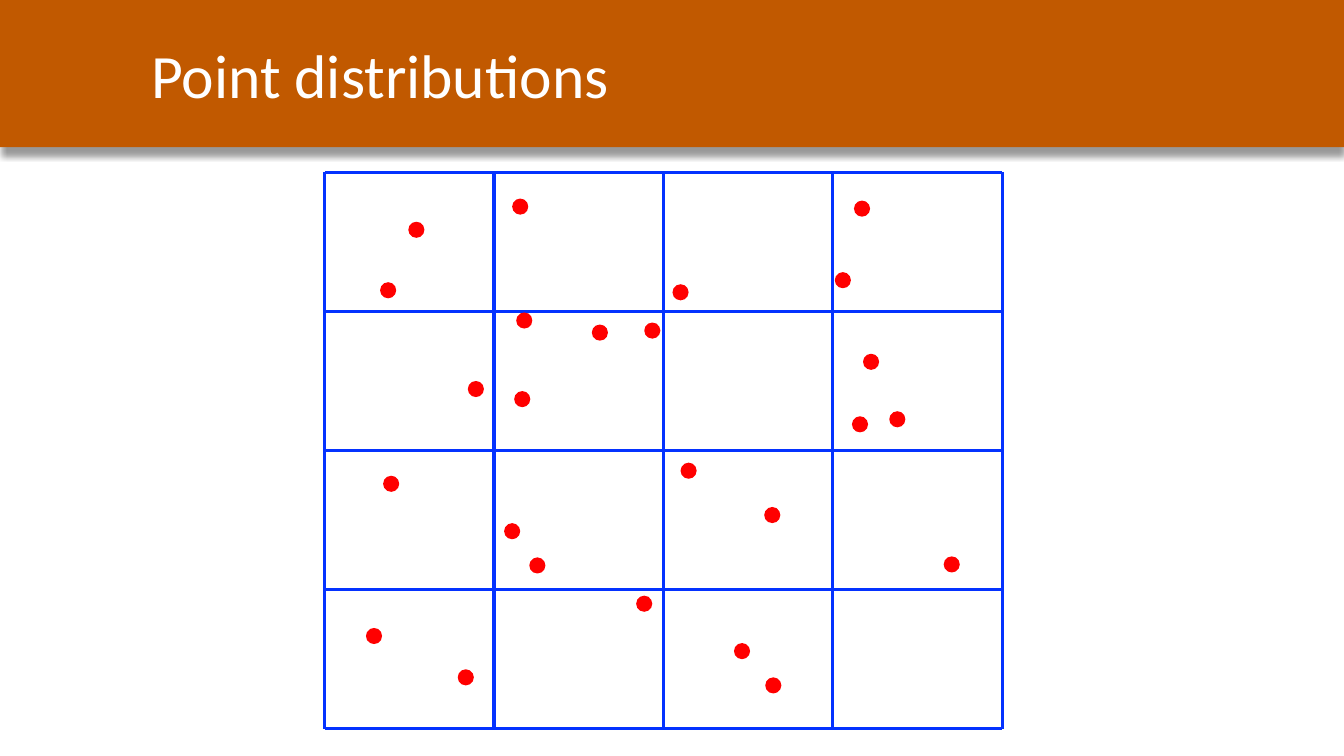
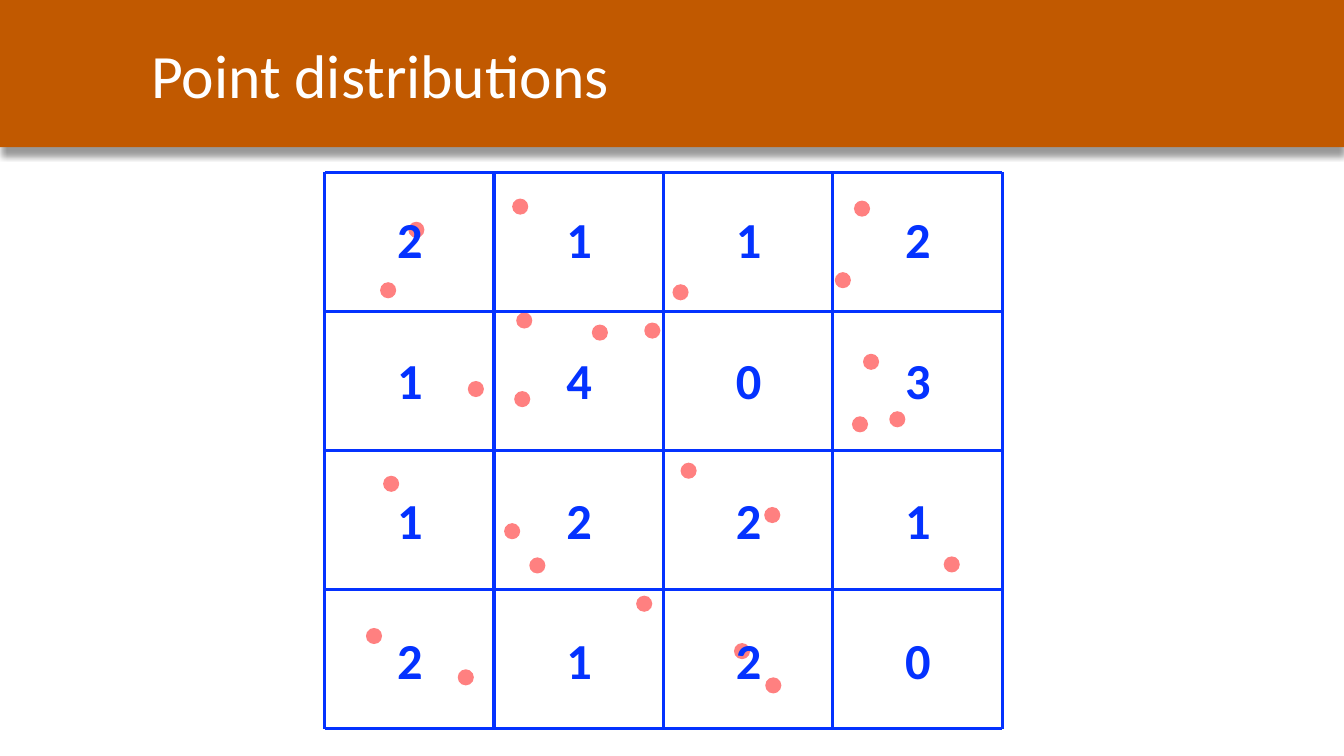
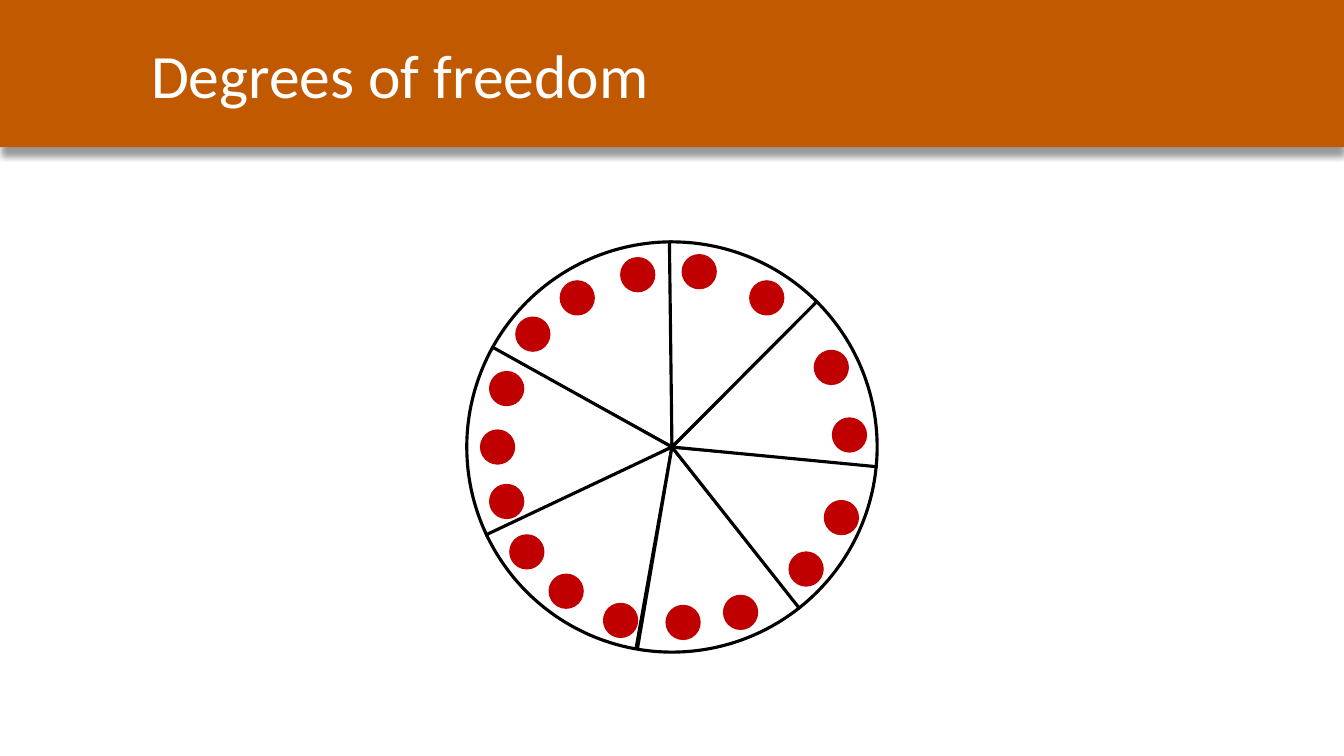
from pptx import Presentation
from pptx import util as u
from pptx.dml.color import RGBColor
from pptx.enum import shapes, text
from pptx.oxml import parse_xml
from pptx.oxml.ns import nsdecls, qn
from lxml import etree

POINTS = [
    (4.05, 2.2), (8.56, 3.51), (7.28, 6.38), (5.08, 1.97), (6.67, 2.82),
    (3.77, 2.8), (5.12, 3.1), (5.87, 3.22), (6.39, 3.2), (3.8, 4.72),
    (4.64, 3.78), (6.75, 4.59), (8.45, 4.13), (8.28, 2.7), (8.47, 1.99),
    (4.54, 6.64), (5.1, 3.88), (7.58, 5.03), (8.82, 4.08), (9.36, 5.52),
    (3.63, 6.23), (5.25, 5.53), (6.31, 5.91), (5, 5.19), (7.59, 6.72),
]
COUNTS = ["2112", "1403", "1221", "2120"]
SLICES = [
    (208.9, 270, [(6.15, 2.55), (5.55, 2.78), (5.11, 3.14)]),
    (153.7, 209.1, [(4.85, 3.68), (4.76, 4.26), (4.85, 4.8)]),
    (100.1, 154.7, [(5.05, 5.3), (5.44, 5.69), (5.98, 5.98)]),
    (51.6, 99.7, [(6.6, 6), (7.17, 5.9)]),
    (5.1, 51.7, [(7.82, 5.47), (8.17, 4.96)]),
    (314.8, 5.5, [(8.25, 4.14), (8.07, 3.47)]),
    (269.3, 314.9, [(6.76, 2.52), (7.43, 2.78)]),
]


def rgb(value):
    return RGBColor.from_string(value)


class Deck:
    BAND, WHITE, BLACK = "C15900", "FFFFFF", "000000"
    GRID, POINT, BEAD = "0432FF", "FF0000", "C00000"
    FONT, LINE = "Calibri", u.Pt(2.25)
    WIDTH, HEIGHT = 13.33, 7.5
    LEFT, TOP, CELL_W, CELL_H, CELLS = 3.22, 1.71, 1.68, 1.38, 4

    def __init__(self):
        self.prs = Presentation()
        self.prs.slide_width = u.Inches(self.WIDTH)
        self.prs.slide_height = u.Inches(self.HEIGHT)

    def slide(self):
        self.s = self.prs.slides.add_slide(self.prs.slide_layouts[6])
        self.ungroup()

    def group(self):
        self.into = self.s.shapes.add_group_shape().shapes

    def ungroup(self):
        self.into = self.s.shapes

    def shape(self, kind, x, y, w, h, fill, line=None):
        sp = self.into.add_shape(kind, *map(u.Inches, (x, y, w, h)))
        sp.shadow.inherit = False
        sp.fill.solid()
        sp.fill.fore_color.rgb = rgb(fill)
        if line:
            sp.line.color.rgb = rgb(line)
            sp.line.width = self.LINE
        else:
            sp.line.fill.background()
        return sp

    def line(self, x1, y1, x2, y2):
        cx = self.into.add_connector(
            shapes.MSO_CONNECTOR.STRAIGHT, *map(u.Inches, (x1, y1, x2, y2)))
        cx.line.color.rgb = rgb(self.GRID)
        cx.line.width = self.LINE
        etree.SubElement(cx._element.spPr, qn("a:effectLst"))

    def text(self, value, x, y, w, h, color, frame, align, font):
        tf = self.into.add_textbox(*map(u.Inches, (x, y, w, h))).text_frame
        for name, setting in {"word_wrap": True, **frame}.items():
            setattr(tf, name, setting)
        p = tf.paragraphs[0]
        p.alignment = align
        r = p.add_run()
        r.text = value
        r.font.color.rgb = rgb(color)
        for name, setting in {"name": self.FONT, **font}.items():
            setattr(r.font, name, setting)

    def header(self, title):
        self.ungroup()
        band = self.shape(shapes.MSO_SHAPE.RECTANGLE, 0, 0, self.WIDTH, 1.46, self.BAND)
        band._element.spPr.find(qn("a:effectLst")).append(parse_xml(
            f'<a:outerShdw {nsdecls("a")} blurRad="{u.Pt(4)}" dist="{u.Pt(6)}" '
            f'dir="5400000" algn="t" rotWithShape="0"><a:srgbClr val="{self.BLACK}">'
            '<a:alpha val="40000"/></a:srgbClr></a:outerShdw>'))
        self.text(title, 1.4, 0.12, 11.93, 1.22, self.WHITE,
                  {"vertical_anchor": text.MSO_ANCHOR.MIDDLE},
                  text.PP_ALIGN.LEFT, {"size": u.Pt(44)})

    def dots(self, places, size, color):
        for x, y in places:
            self.shape(shapes.MSO_SHAPE.OVAL, x, y, size, size, color)

    def grid(self):
        right = self.LEFT + self.CELLS * self.CELL_W
        bottom = self.TOP + self.CELLS * self.CELL_H
        for i in range(self.CELLS + 1):
            x, y = self.LEFT + i * self.CELL_W, self.TOP + i * self.CELL_H
            self.line(self.LEFT, y, right, y)
            self.line(x, self.TOP, x, bottom)

    def veil(self):
        sp = self.shape(shapes.MSO_SHAPE.RECTANGLE, self.LEFT, 1.73, 6.71, 5.5, self.WHITE)
        color = sp._element.spPr.find(qn("a:solidFill"))[0]
        etree.SubElement(color, qn("a:alpha"), val="50000")

    def counts(self, rows):
        for j, row in enumerate(rows):
            for i, count in enumerate(row):
                self.text(count, 3.24 + i * self.CELL_W, 2.02 + j * 1.39, 1.65, 0.71,
                          self.GRID, {"auto_size": text.MSO_AUTO_SIZE.SHAPE_TO_FIT_TEXT},
                          text.PP_ALIGN.CENTER, {"size": u.Pt(36), "bold": True})

    def slice(self, start, end):
        sp = self.shape(shapes.MSO_SHAPE.PIE, 4.63, 2.4, 4.07, 4.07, self.WHITE, self.BLACK)
        for i, angle in enumerate((start, end)):
            sp.adjustments[i] = angle * 0.6


def main():
    d = Deck()

    d.slide()
    d.group()
    d.grid()
    d.header("Point distributions")
    d.dots(POINTS, 0.16, d.POINT)

    d.slide()
    d.group()
    d.dots(POINTS, 0.16, d.POINT)
    d.group()
    d.veil()
    d.grid()
    d.header("Point distributions")
    d.group()
    d.counts(COUNTS)

    d.slide()
    d.header("Degrees of freedom")
    for start, end, beads in SLICES:
        d.group()
        d.slice(start, end)
        d.dots(beads, 0.35, d.BEAD)

    d.prs.save("out.pptx")


if __name__ == "__main__":
    main()
